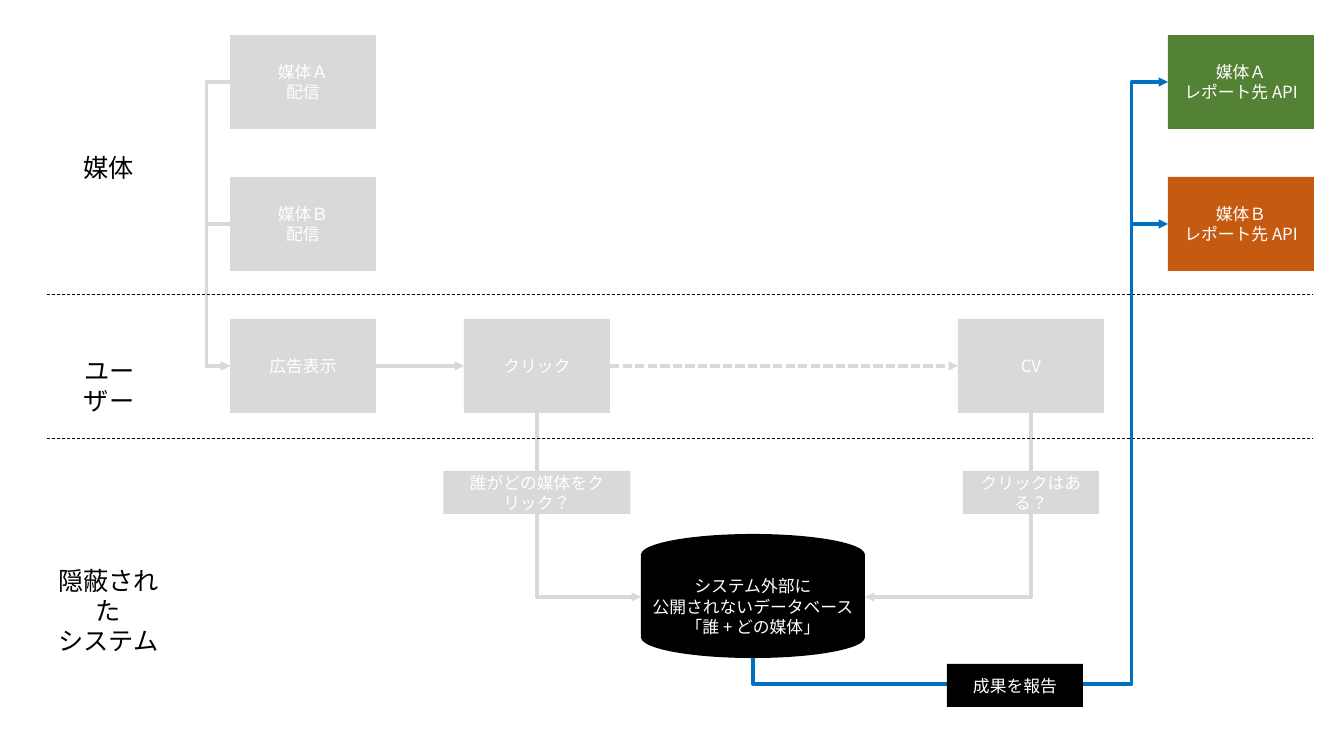
import pptx
import pptx.util
import pptx.dml.color
import pptx.enum.dml
import pptx.enum.lang
import pptx.enum.shapes
import pptx.enum.text
import pptx.oxml.ns
from lxml import etree

SCALE = 914400 / 100.8
FONT = "Noto Sans CJK JP"
COLORS = {
    "past": "D9D9D9", "report": "0070C0", "media_a": "548235",
    "media_b": "C55A11", "black": "000000", "white": "FFFFFF",
}
KINDS = pptx.enum.shapes.MSO_SHAPE
WIRES = pptx.enum.shapes.MSO_CONNECTOR
DASHES = pptx.enum.dml.MSO_LINE
CARD_W, CARD_H, CARD_STEP = 146, 94, 142
TAG_H = 43
qn = pptx.oxml.ns.qn


def emu(pixels):
    return pptx.util.Emu(round(pixels * SCALE))


def rgb(name):
    return pptx.dml.color.RGBColor.from_string(COLORS[name])


def write(shape, text, size, color):
    frame = shape.text_frame
    frame.word_wrap = True
    frame.text = text
    for para in frame.paragraphs:
        para.alignment = pptx.enum.text.PP_ALIGN.CENTER
        for span in para.runs:
            span.font.size = pptx.util.Pt(size)
            span.font.name = FONT
            span.font.language_id = pptx.enum.lang.MSO_LANGUAGE_ID.JAPANESE
            span.font.color.rgb = rgb(color)
            east = etree.SubElement(span.font._element, qn("a:ea"))
            east.set("typeface", FONT)


def add_block(page, box, text, fill, kind=KINDS.RECTANGLE):
    shape = page.shapes.add_shape(kind, *map(emu, box))
    shape.shadow.inherit = False
    shape.fill.solid()
    shape.fill.fore_color.rgb = rgb(fill)
    shape.line.fill.background()
    shape.text_frame.vertical_anchor = pptx.enum.text.MSO_ANCHOR.MIDDLE
    write(shape, text, 12, "white")


def add_wire(page, start, end, color, width=2.25, dash=None, arrow=None,
             preset=None, bends=(), turned=False):
    kind = WIRES.ELBOW if preset else WIRES.STRAIGHT
    wire = page.shapes.add_connector(kind, *map(emu, start + end))
    wire.line.color.rgb = rgb(color)
    wire.line.width = pptx.util.Pt(width)
    if dash:
        wire.line.dash_style = dash
    properties = wire._element.spPr
    if turned:
        frame = properties.find(qn("a:xfrm"))
        frame.set("rot", "10800000")
        frame.set("flipV", "1")
    if arrow:
        tip = etree.SubElement(properties.find(qn("a:ln")), qn(arrow))
        tip.set("type", "triangle")
    if preset:
        geometry = properties.find(qn("a:prstGeom"))
        geometry.set("prst", preset)
        guides = geometry.find(qn("a:avLst"))
        for number, bend in enumerate(bends, 1):
            guide = etree.SubElement(guides, qn("a:gd"))
            guide.set("name", f"adj{number}")
            guide.set("fmla", f"val {round(bend * 100000)}")
    etree.SubElement(properties, qn("a:effectLst"))


def add_lanes(page, box):
    left, top, width, height = box
    for y in (0, height):
        add_wire(page, (left, top + y), (left + width, top + y),
                 "black", 0.5, DASHES.DASH)
    labels = [
        ("媒体", 26, -147, 72, 40),
        ("ユーザー", 10, 56, 104, 40),
        ("隠蔽された\nシステム", -4, 266, 131, 72),
    ]
    for text, x, y, label_w, label_h in labels:
        label = page.shapes.add_textbox(
            *map(emu, (left + x, top + y, label_w, label_h)))
        write(label, text, 18, "black")


def add_delivery(page, box):
    left, top, width, height = box
    middles = [top + row * CARD_STEP + CARD_H / 2 for row in range(3)]
    for middle in middles[:2]:
        add_wire(page, (left, middle), (left + 1, middles[2]), "past",
                 arrow="a:tailEnd", preset="bentConnector3", bends=(25,),
                 turned=True)
    for row, text in enumerate(["媒体Ａ\n配信", "媒体Ｂ\n配信", "広告表示"]):
        add_block(page, (left, top + row * CARD_STEP, CARD_W, CARD_H), text, "past")


def add_journey(page, box):
    left, top, width, height = box
    click, conversion = left + 234, left + width - CARD_W
    middle = top + CARD_H / 2
    add_wire(page, (left + CARD_W, middle), (click, middle), "past",
             arrow="a:tailEnd")
    add_wire(page, (click + CARD_W, middle), (conversion, middle), "past",
             dash=DASHES.SQUARE_DOT, arrow="a:tailEnd")
    steps = [
        (click, left + 411, "クリック", "誰がどの媒体をクリック？", 187),
        (conversion, left + 635, "CV", "クリックはある？", 136),
    ]
    for x, database_edge, title, question, tag_w in steps:
        center = x + CARD_W / 2
        add_wire(page, (database_edge, top + height), (center, top + CARD_H),
                 "past", arrow="a:headEnd", preset="bentConnector2")
        add_block(page, (x, top, CARD_W, CARD_H), title, "past")
        add_block(page, (center - tag_w / 2, top + 152, tag_w, TAG_H),
                  question, "past")


def add_database(page, box):
    add_block(page, box, "システム外部に\n公開されないデータベース\n「誰 + どの媒体」",
              "black", KINDS.FLOWCHART_MAGNETIC_DISK)


def add_reporting(page, box):
    left, top, width, height = box
    card_left = left + width - CARD_W
    trunk, base, source = card_left - 36, top + height - 23, top + height - 49
    for row, (letter, fill) in enumerate([("Ａ", "media_a"), ("Ｂ", "media_b")]):
        y = top + row * CARD_STEP
        middle = y + CARD_H / 2
        bends = ((card_left - trunk) / (card_left - left),
                 (base - middle) / (source - middle))
        add_wire(page, (card_left, middle), (left, source), "report",
                 arrow="a:headEnd", preset="bentConnector4", bends=bends)
        add_block(page, (card_left, y, CARD_W, CARD_H),
                  f"媒体{letter}\nレポート先 API", fill)
    add_block(page, (left + 194, top + height - TAG_H, 136, TAG_H),
              "成果を報告", "black")


deck = pptx.Presentation()
deck.slide_width, deck.slide_height = emu(1344), emu(756)
page = deck.slides.add_slide(deck.slide_layouts[6])
add_delivery(page, (230, 35, CARD_W, 378))
add_journey(page, (230, 319, 874, 278))
add_lanes(page, (47, 294, 1266, 144))
add_database(page, (641, 534, 224, 124))
add_reporting(page, (753, 35, 561, 672))
deck.save("out.pptx")
